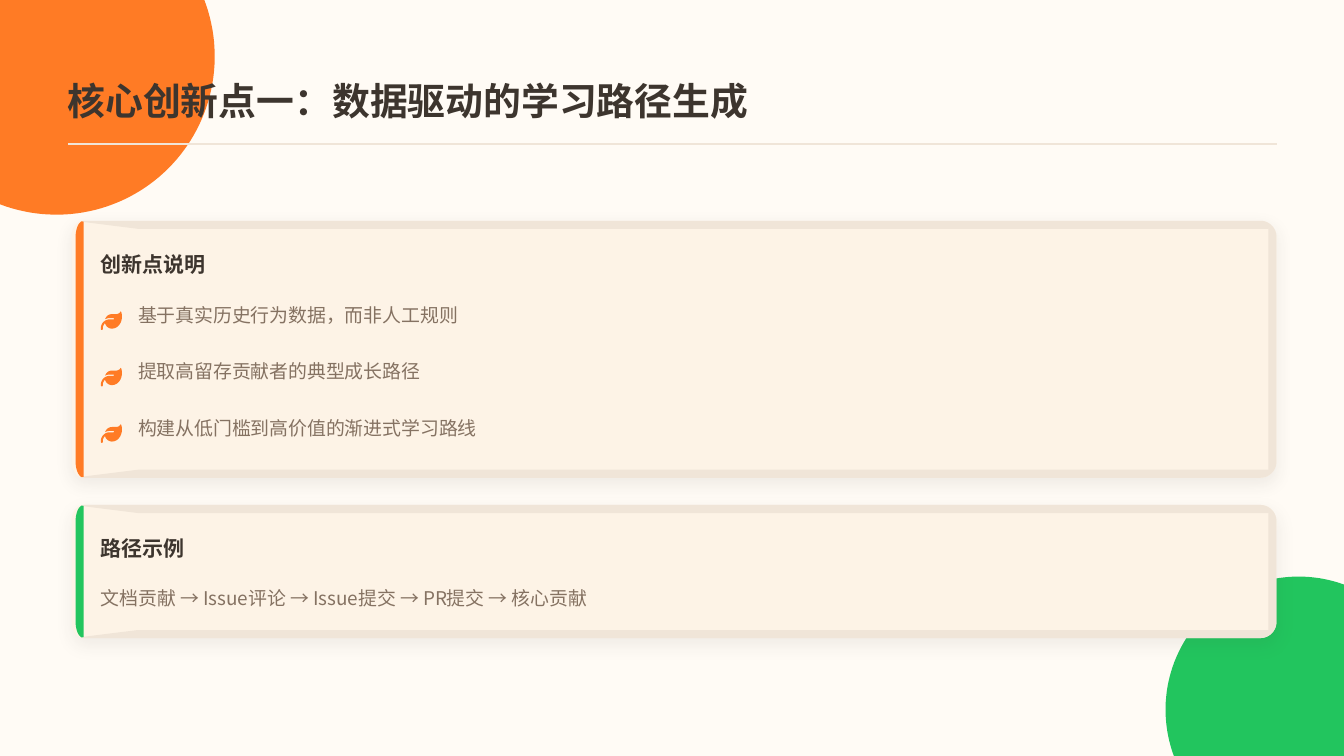
from dataclasses import dataclass
from math import acos, asin, cos, degrees, radians, sin

from lxml import etree
from pptx import Presentation
from pptx.dml.color import RGBColor
from pptx.enum.text import MSO_ANCHOR, MSO_AUTO_SIZE, PP_ALIGN
from pptx.oxml.ns import qn
from pptx.util import Inches, Pt

LEFT = PP_ALIGN.LEFT
TOP = MSO_ANCHOR.TOP
FIT_TEXT = MSO_AUTO_SIZE.SHAPE_TO_FIT_TEXT

FONT = "Noto Sans CJK SC"
CREAM, SAND, BORDER = "FFFBF5", "FDF3E6", "F0E5D8"
INK, BROWN = "3D352E", "857262"
ORANGE, GREEN = "FF7B25", "22C55E"

WIDTH, HEIGHT = 13.33, 7.5
CARD_LEFT, CARD_RIGHT = 0.71, 12.66
EDGE, RADIUS = 0.08, 0.16
ACCENT_RIGHT = 0.83
INNER_RIGHT = CARD_RIGHT - EDGE
TEXT_LEFT, ITEM_LEFT = 1.0, 1.37
ITEM_PITCH = 0.56
LEAF_UNIT = 0.21 / 512

Point = tuple[float, float]

# Leaf outline on a 512 grid: two numbers are a line, six a cubic curve
LEAF_START = (272, 96)
LEAF_STEPS = [
    (193, 96, 127, 148, 104, 219), (138, 202, 176, 192, 216, 192),
    (304, 192), (313, 192, 320, 199, 320, 208),
    (320, 217, 313, 224, 304, 224), (216, 224),
    (199, 224, 183, 226, 168, 229), (142, 235, 118, 246, 96, 260),
    (38, 299, 0, 365, 0, 440), (0, 456),
    (0, 469, 11, 480, 24, 480), (37, 480, 48, 469, 48, 456), (48, 440),
    (48, 391, 69, 348, 102, 317), (122, 392, 190, 448, 272, 448),
    (405, 447, 512, 317, 512, 157), (512, 114, 504, 74, 491, 37),
    (488, 30, 478, 30, 475, 37), (456, 72, 419, 96, 368, 96),
]


@dataclass
class Card:
    top: float
    bottom: float
    accent: str
    heading: str
    heading_width: float


@dataclass
class Label:
    left: float
    top: float
    width: float
    text: str
    size: float = 13.5
    color: str = BROWN
    bold: bool = False


def rgb(value: str) -> RGBColor:
    return RGBColor.from_string(value)


def arc(cx: float, cy: float, rx: float, ry: float,
        start: float, end: float, steps: int = 12) -> list[Point]:
    """Points along an ellipse; angles run clockwise from the right."""
    angles = [radians(start + (end - start) * i / steps) for i in range(steps + 1)]
    return [(cx + rx * cos(a), cy + ry * sin(a)) for a in angles]


def draw_outline(points: list[Point], color: str):
    emu = [(Inches(x), Inches(y)) for x, y in points]
    builder = slide.shapes.build_freeform(*emu[0], scale=1.0)
    builder.add_line_segments(emu[1:], close=True)
    shape = builder.convert_to_shape()
    shape.shadow.inherit = False
    shape.fill.solid()
    shape.fill.fore_color.rgb = rgb(color)
    shape.line.fill.background()
    return shape


def draw_box(left: float, top: float, width: float, height: float, color: str) -> None:
    right, bottom = left + width, top + height
    draw_outline([(left, top), (right, top), (right, bottom), (left, bottom)], color)


def add_soft_shadow(shape) -> None:
    effects = shape._element.spPr.find(qn("a:effectLst"))
    shadow = etree.SubElement(effects, qn("a:outerShdw"), blurRad=str(Pt(12)),
                              dist=str(Pt(4)), dir="5400000", rotWithShape="0")
    tint = etree.SubElement(shadow, qn("a:srgbClr"), val=INK)
    etree.SubElement(tint, qn("a:alpha"), val="8000")


def draw_label(label: Label) -> None:
    height = label.size * 1.17 / 72
    box = slide.shapes.add_textbox(Inches(label.left), Inches(label.top),
                                   Inches(label.width), Inches(height))
    frame = box.text_frame
    frame.margin_left = frame.margin_right = frame.margin_top = frame.margin_bottom = 0
    frame.word_wrap = False
    frame.auto_size = FIT_TEXT
    frame.vertical_anchor = TOP
    paragraph = frame.paragraphs[0]
    paragraph.alignment = LEFT
    run = paragraph.add_run()
    run.text = label.text
    run.font.size = Pt(label.size)
    run.font.bold = label.bold
    run.font.color.rgb = rgb(label.color)
    run.font.name = FONT
    etree.SubElement(run.font._element, qn("a:ea"), typeface=FONT)


def draw_card(card: Card) -> None:
    top, bottom = card.top, card.bottom
    high, low = top + RADIUS, bottom - RADIUS
    corner_x = CARD_RIGHT - RADIUS
    left_rx = ACCENT_RIGHT - CARD_LEFT

    # Panel
    panel = draw_outline(
        arc(ACCENT_RIGHT, high, left_rx, RADIUS, 180, 270)
        + arc(corner_x, high, RADIUS, RADIUS, 270, 360)
        + arc(corner_x, low, RADIUS, RADIUS, 0, 90)
        + arc(ACCENT_RIGHT, low, left_rx, RADIUS, 90, 180), SAND)
    add_soft_shadow(panel)

    # Top and bottom borders mirror each other
    for edge, inward in ((top, 1), (bottom, -1)):
        inner = edge + inward * EDGE
        draw_outline(
            [(INNER_RIGHT, inner), (ITEM_LEFT, inner),
             (0.81, edge + inward * 0.01), (ACCENT_RIGHT, edge)]
            + arc(corner_x, edge + inward * RADIUS, RADIUS, RADIUS,
                  -90 * inward, -45 * inward), BORDER)

    # Right border and left accent
    draw_outline(
        [(INNER_RIGHT, bottom - EDGE), (INNER_RIGHT, top + EDGE)]
        + arc(corner_x, high, RADIUS, RADIUS, -45, 0)
        + arc(corner_x, low, RADIUS, RADIUS, 0, 45), BORDER)
    draw_outline(
        [(ACCENT_RIGHT, top + 0.01), (ACCENT_RIGHT, bottom - 0.01)]
        + arc(ACCENT_RIGHT, low, EDGE, RADIUS, 105, 180)
        + arc(ACCENT_RIGHT, high, EDGE, RADIUS, 180, 255), card.accent)

    draw_label(Label(TEXT_LEFT, top + 0.3, card.heading_width, card.heading, 15, INK, True))


def leaf_points(left: float, top: float) -> list[Point]:
    points: list[Point] = [LEAF_START]
    for step in LEAF_STEPS:
        if len(step) == 2:
            points.append(step)
            continue
        x0, y0 = points[-1]
        x1, y1, x2, y2, x3, y3 = step
        for t in (i / 8 for i in range(1, 9)):
            a, b, c, d = (1 - t) ** 3, 3 * t * (1 - t) ** 2, 3 * t * t * (1 - t), t ** 3
            points.append((a * x0 + b * x1 + c * x2 + d * x3,
                           a * y0 + b * y1 + c * y2 + d * y3))
    return [(left + x * LEAF_UNIT, top + (y - 32) * LEAF_UNIT) for x, y in points]


presentation = Presentation()
presentation.slide_width = Inches(WIDTH)
presentation.slide_height = Inches(HEIGHT)
slide = presentation.slides.add_slide(presentation.slide_layouts[6])

# Background and corner circles cut at the slide edges
draw_box(0, 0, WIDTH, HEIGHT, CREAM)
sun_center, sun_radius = 0.56, 1.57
sun_reach = degrees(asin(sun_center / sun_radius))
draw_outline([(0, 0)] + arc(sun_center, sun_center, sun_radius, sun_radius,
                            -sun_reach, 90 + sun_reach, 60), ORANGE)
hill_x, hill_y, hill_radius = 12.88, 7.04, 1.32
hill_start = 180 - degrees(asin((HEIGHT - hill_y) / hill_radius))
hill_end = 360 - degrees(acos((WIDTH - hill_x) / hill_radius))
draw_outline([(WIDTH, HEIGHT)] + arc(hill_x, hill_y, hill_radius, hill_radius,
                                     hill_start, hill_end, 60), GREEN)

# Title and rule
draw_box(0.67, 1.42, 12, 0.02, BORDER)
draw_label(Label(0.67, 0.77, 8.17, "核心创新点一：数据驱动的学习路径生成", 27, INK, True))

# Cards
for card in (Card(2.19, 4.74, ORANGE, "创新点说明", 1.26),
             Card(5.01, 6.33, GREEN, "路径示例", 1.01)):
    draw_card(card)

# Innovation items
items = [("基于真实历史行为数据，而非人工规则", 3.51),
         ("提取高留存贡献者的典型成长路径", 3.09),
         ("构建从低门槛到高价值的渐进式学习路线", 3.71)]
for row, (item, item_width) in enumerate(items):
    item_top = 3.01 + row * ITEM_PITCH
    draw_outline(leaf_points(TEXT_LEFT, item_top + 0.08), ORANGE)
    draw_label(Label(ITEM_LEFT, item_top, item_width, item))

# Example path
draw_label(Label(TEXT_LEFT, 5.82, 5.59,
                 "文档贡献 → Issue评论 → Issue提交 → PR提交 → 核心贡献"))

presentation.save("out.pptx")
